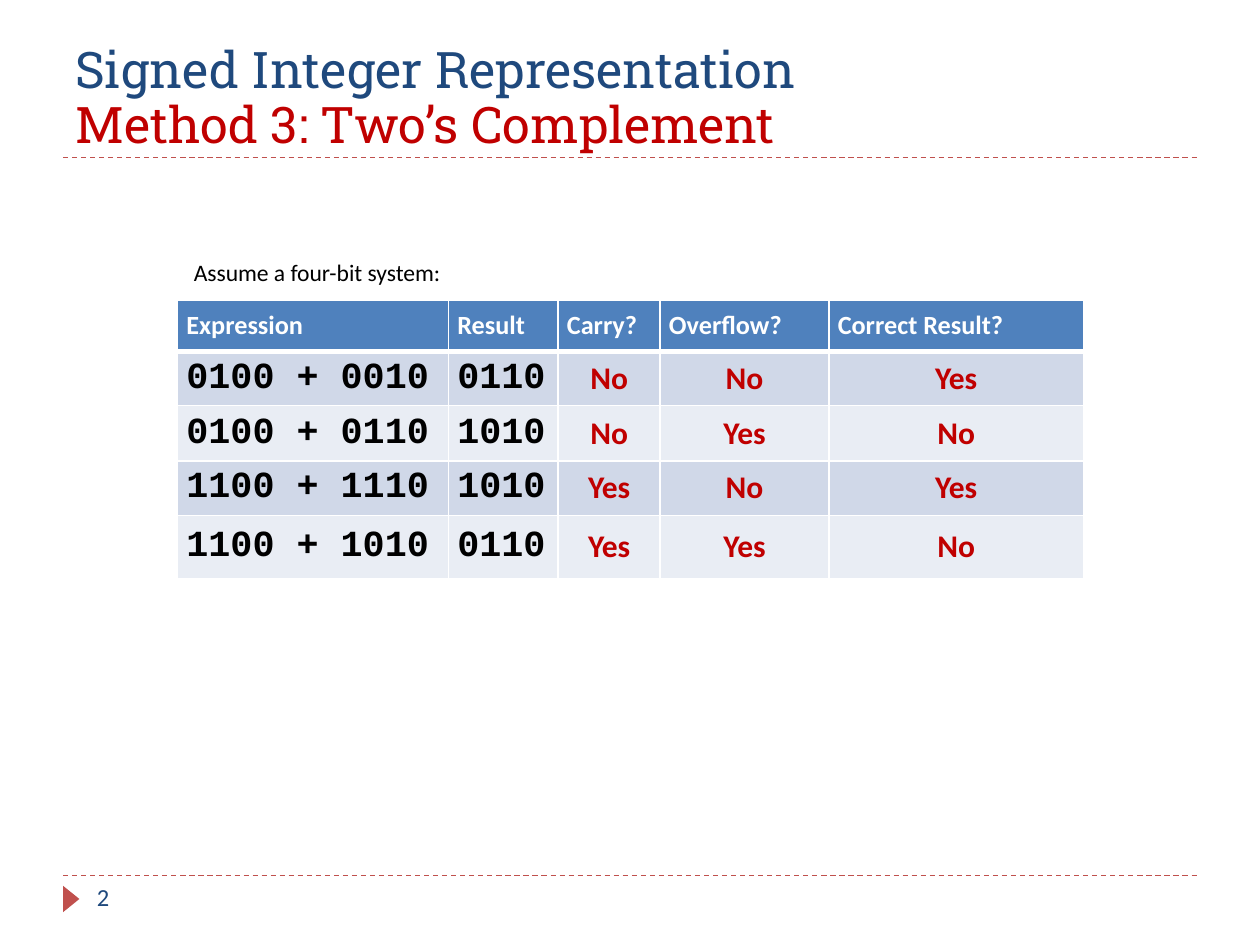
from typing import NamedTuple

import lxml.etree
import pptx
import pptx.dml.color
import pptx.enum.dml
import pptx.enum.shapes
import pptx.enum.text
import pptx.oxml.ns
import pptx.util

Inches = pptx.util.Inches
Align = pptx.enum.text.PP_ALIGN
Anchor = pptx.enum.text.MSO_ANCHOR

NAVY, RED, BRICK = "1F497D", "C00000", "C0504D"
BLACK, WHITE = "000000", "FFFFFF"
HEADER_FILL = "4F81BD"
BAND_FILLS = ("D0D8E8", "E9EDF4")


class Style(NamedTuple):
    size: float
    color: str
    font: str = "Calibri"
    bold: bool = False


class Sum(NamedTuple):
    expression: str
    result: str
    carry: str
    overflow: str
    correct: str


HEADER = Style(15, WHITE, bold=True)
BITS = Style(21, BLACK, "Courier New", True)
ANSWER = Style(18, RED, bold=True)

HEADINGS = Sum("Expression", "Result", "Carry?", "Overflow?", "Correct Result?")
SUMS = [
    Sum("0100 + 0010", "0110", "No", "No", "Yes"),
    Sum("0100 + 0110", "1010", "No", "Yes", "No"),
    Sum("1100 + 1110", "1010", "Yes", "No", "Yes"),
    Sum("1100 + 1010", "0110", "Yes", "Yes", "No"),
]
COLUMN_WIDTHS = (2.15, 0.87, 0.81, 1.34, 2.02)
ROW_HEIGHTS = (0.41, 0.42, 0.44, 0.43, 0.5)


def rgb(color: str):
    return pptx.dml.color.RGBColor.from_string(color)


def fill_solid(target, color: str) -> None:
    target.fill.solid()
    target.fill.fore_color.rgb = rgb(color)


def add_run(paragraph, text: str, style: Style) -> None:
    run = paragraph.add_run()
    run.text = text
    run.font.size = pptx.util.Pt(style.size)
    run.font.name = style.font
    run.font.bold = style.bold
    run.font.color.rgb = rgb(style.color)


def add_text_frame(slide, left: float, top: float, width: float, height: float, wrap: bool = True):
    box = slide.shapes.add_textbox(Inches(left), Inches(top), Inches(width), Inches(height))
    box.text_frame.word_wrap = wrap
    return box.text_frame


def add_rule(slide, y: float) -> None:
    """Draw a dashed line across the slide at height y."""
    rule = slide.shapes.add_connector(
        pptx.enum.shapes.MSO_CONNECTOR.STRAIGHT, Inches(0.5), Inches(y), Inches(9.5), Inches(y))
    rule.line.color.rgb = rgb(BRICK)
    rule.line.width = pptx.util.Pt(0.75)
    rule.line.dash_style = pptx.enum.dml.MSO_LINE.DASH
    lxml.etree.SubElement(rule._element.spPr, pptx.oxml.ns.qn("a:effectLst"))


def set_border(cell, side: str, points: float) -> None:
    qn = pptx.oxml.ns.qn
    properties = cell._tc.get_or_add_tcPr()
    line = lxml.etree.SubElement(properties, qn(f"a:ln{side}"), w=str(pptx.util.Pt(points)))
    solid = lxml.etree.SubElement(line, qn("a:solidFill"))
    lxml.etree.SubElement(solid, qn("a:srgbClr"), val=WHITE)


def add_title(slide) -> None:
    frame = add_text_frame(slide, 0.5, 0.17, 9, 1.08)
    frame.vertical_anchor = Anchor.BOTTOM
    frame.margin_bottom = Inches(0.02)
    title = frame.paragraphs[0]
    title.line_spacing = 0.92
    add_run(title, "Signed Integer Representation", Style(28.8, NAVY, "Roboto Slab"))
    title.add_line_break()
    add_run(title, "Method 3: Two’s Complement", Style(28.8, RED, "Roboto Slab"))


def add_page_number(slide) -> None:
    marker = slide.shapes.add_shape(
        pptx.enum.shapes.MSO_SHAPE.ISOSCELES_TRIANGLE,
        Inches(0.46), Inches(7.07), Inches(0.21), Inches(0.13))
    marker.rotation = 90
    marker.shadow.inherit = False
    fill_solid(marker, BRICK)
    marker.line.fill.background()
    number = add_text_frame(slide, 0.67, 6.95, 2.17, 0.4)
    add_run(number.paragraphs[0], "2", Style(14, NAVY))


def add_sums_table(slide) -> None:
    rows = [HEADINGS, *SUMS]
    table = slide.shapes.add_table(
        len(rows), len(COLUMN_WIDTHS), Inches(1.41), Inches(2.38),
        Inches(sum(COLUMN_WIDTHS)), Inches(sum(ROW_HEIGHTS))).table
    for column, width in zip(table.columns, COLUMN_WIDTHS):
        column.width = Inches(width)
    for r, (texts, height) in enumerate(zip(rows, ROW_HEIGHTS)):
        table.rows[r].height = Inches(height)
        for c, text in enumerate(texts):
            cell = table.cell(r, c)
            cell.vertical_anchor = Anchor.MIDDLE
            cell.margin_left = cell.margin_right = Inches(0.07)
            cell.margin_top = cell.margin_bottom = Inches(0.04)
            set_border(cell, "L", 1)
            set_border(cell, "R", 1)
            set_border(cell, "T", 3 if r == 1 else 1)
            set_border(cell, "B", 3 if r == 0 else 1)
            fill_solid(cell, HEADER_FILL if r == 0 else BAND_FILLS[(r - 1) % 2])
            style = HEADER if r == 0 else BITS if c < 2 else ANSWER
            paragraph = cell.text_frame.paragraphs[0]
            paragraph.alignment = Align.CENTER if style is ANSWER else Align.LEFT
            add_run(paragraph, text, style)


def main() -> None:
    presentation = pptx.Presentation()
    presentation.slide_width = Inches(10)
    presentation.slide_height = Inches(7.5)
    slide = presentation.slides.add_slide(presentation.slide_layouts[6])
    for y in (6.95, 1.25):
        add_rule(slide, y)
    add_page_number(slide)
    add_title(slide)
    add_sums_table(slide)
    assumption = add_text_frame(slide, 1.44, 2, 2.18, 0.33, wrap=False)
    add_run(assumption.paragraphs[0], "Assume a four-bit system:", Style(13.5, BLACK))
    presentation.save("out.pptx")


if __name__ == "__main__":
    main()
